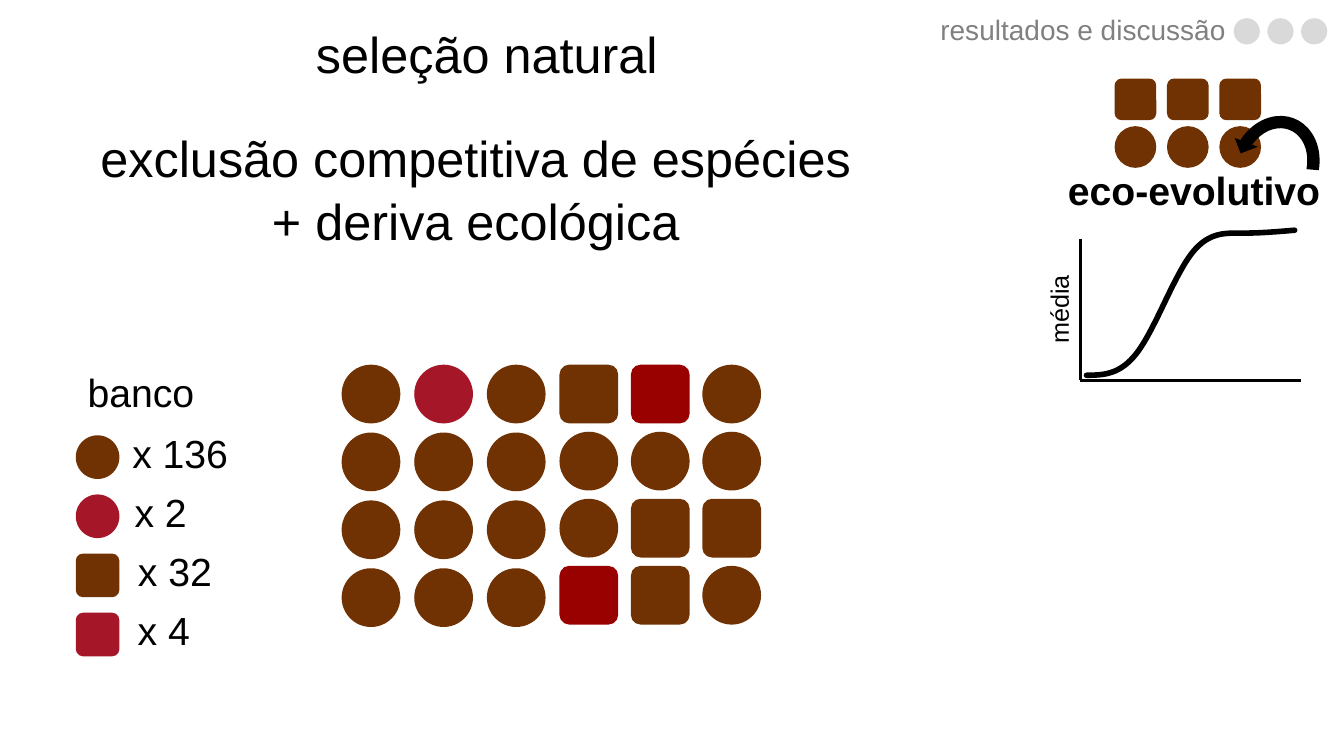
from dataclasses import dataclass

from pptx import Presentation
from pptx.chart.data import CategoryChartData
from pptx.dml.color import RGBColor
from pptx.enum.chart import XL_CHART_TYPE, XL_MARKER_STYLE
from pptx.enum.shapes import MSO_CONNECTOR, MSO_SHAPE
from pptx.enum.text import MSO_ANCHOR, MSO_AUTO_SIZE, PP_ALIGN
from pptx.oxml.ns import qn
from pptx.util import Cm, Pt
from lxml.etree import SubElement


@dataclass(frozen=True)
class Theme:
    """Hold the colours, fonts and type sizes of the slide."""
    ink: str = "000000"
    grey: str = "808080"
    pale: str = "D9D9D9"
    brown: str = "703103"
    red: str = "A51628"
    dark: str = "990000"
    font: str = "Arial"
    chart: str = "Calibri"
    head: int = 36
    label: int = 28
    note: int = 20
    axis: int = 18
    tick: int = 10


THEME = Theme()
ROUND, SQUARE = MSO_SHAPE.OVAL, MSO_SHAPE.ROUNDED_RECTANGLE
KINDS = {
    "b": (ROUND, THEME.brown),
    "r": (ROUND, THEME.red),
    "g": (ROUND, THEME.pale),
    "B": (SQUARE, THEME.brown),
    "R": (SQUARE, THEME.red),
    "D": (SQUARE, THEME.dark),
}


def apply(target, values):
    """Set each named value on the target."""
    for name, value in values.items():
        setattr(target, name, value)


def place(shape, box):
    """Move and size a shape from lengths in centimetres."""
    apply(shape, dict(zip(("left", "top", "width", "height"), map(Cm, box))))


def style(font, size, color=THEME.ink, face=THEME.font, bold=False):
    """Format a font."""
    apply(font, {"size": Pt(size), "name": face, "bold": bold})
    font.color.rgb = RGBColor.from_string(color)


def write(shape, lines, size, color=THEME.ink, bold=False, space=0.9, gap=0,
          align=PP_ALIGN.CENTER, anchor=MSO_ANCHOR.MIDDLE):
    """Fill a text shape with formatted lines."""
    frame = shape.text_frame
    apply(frame, {"text": "\n".join(lines), "word_wrap": True,
                  "auto_size": MSO_AUTO_SIZE.NONE, "vertical_anchor": anchor})
    for rank, para in enumerate(frame.paragraphs):
        apply(para, {"alignment": align, "line_spacing": space,
                     "space_before": Pt(gap if rank else 0)})
        style(para.font, size, color, bold=bold)


def label(shapes, text, box, size=THEME.label, **form):
    """Add a text box with the given lines."""
    shape = shapes.add_textbox(*map(Cm, box))
    write(shape, text.split("\n"), size, **form)
    return shape


def paint(shape, color):
    """Give a shape a flat fill without outline or shadow."""
    shape.shadow.inherit = False
    shape.fill.solid()
    shape.fill.fore_color.rgb = RGBColor.from_string(color)
    shape.line.fill.background()


def grid(shapes, rows, left, top, size, step, drop=0):
    """Draw rows of tokens, one letter for each token."""
    for row, line in enumerate(rows):
        for col, key in enumerate(line):
            kind, color = KINDS[key]
            spot = (left + col * step, top + row * drop, size, size)
            paint(shapes.add_shape(kind, *map(Cm, spot)), color)


def arrow(shapes, box):
    """Draw the curved feedback arrow."""
    shape = shapes.add_shape(MSO_SHAPE.CIRCULAR_ARROW, *map(Cm, box))
    paint(shape, THEME.ink)
    for rank, value in enumerate((0.125, 11.42, 204.58, 117.73, 0.125)):
        shape.adjustments[rank] = value
    shape.rotation = 200.9
    shape.element.spPr.find(qn("a:xfrm")).set("flipV", "1")


def rule(shapes, ends):
    """Draw a straight axis line."""
    line = shapes.add_connector(MSO_CONNECTOR.STRAIGHT, *map(Cm, ends))
    line.line.width = Pt(2)
    line.line.color.rgb = RGBColor.from_string(THEME.ink)
    SubElement(line.element.spPr, qn("a:effectLst"))


def curve(shapes, box):
    """Add the smooth line chart of the mean."""
    data = CategoryChartData()
    data.categories = ["1", "2", "3", "4", "5"]
    data.add_series("Series 1", (0, 17, 83, 98, 100))
    chart = shapes.add_chart(XL_CHART_TYPE.LINE, *map(Cm, box), data).chart
    apply(chart, {"has_legend": False, "has_title": False})
    style(chart.font, THEME.tick, face=THEME.chart)
    for axis in (chart.category_axis, chart.value_axis):
        apply(axis, {"visible": False, "has_major_gridlines": False})
    apply(chart.value_axis, {"minimum_scale": 0, "maximum_scale": 120})
    plot = chart.plots[0]
    plot.vary_by_categories = False
    series = plot.series[0]
    series.smooth = True
    series.marker.style = XL_MARKER_STYLE.NONE
    series.format.line.width = Pt(4)
    series.format.line.color.rgb = RGBColor.from_string(THEME.ink)
    steps = map(qn, ("c:ser", "c:spPr", "a:ln"))
    chart.element.find(".//" + "/".join(steps)).set("cap", "rnd")


def model(shapes):
    """Draw the model panel with its tokens, arrow and chart."""
    label(shapes, "eco-evolutivo", (26.57, 3.02, 7.04, 3.68), bold=True)
    grid(shapes.add_group_shape().shapes, ("BBB", "bbb"),
         28.09, 1.98, 1.05, 1.32, 1.2)
    arrow(shapes, (30.89, 2.74, 2.49, 2.92))
    curve(shapes, (26.59, 4.98, 6.83, 4.57))
    rule(shapes, (27.22, 9.58, 32.78, 9.58))
    rule(shapes, (27.22, 6.02, 27.22, 9.58))
    mean = label(shapes, "média", (24.18, 7.14, 5, 1.32), THEME.axis,
                 space=1, anchor=MSO_ANCHOR.TOP)
    mean.rotation = 270
    apply(mean.text_frame, {"margin_left": Cm(0.41), "margin_right": Cm(0.41),
                            "margin_top": Cm(0.28), "margin_bottom": Cm(0.28)})


def header(shapes):
    """Draw the section name and its progress dots."""
    group = shapes.add_group_shape().shapes
    label(group, "resultados e discussão", (19.76, 0.2, 11.38, 1.19),
          THEME.note, color=THEME.grey, align=PP_ALIGN.RIGHT)
    grid(group, ("ggg",), 31.09, 0.46, 0.66, 0.85)


def legend(shapes):
    """Draw the bank legend with its counts."""
    label(shapes, "banco", (0.03, 8.1, 7.04, 3.68))
    items = (("b", "x 136", 1.02), ("r", "x 2", 0.53),
             ("B", "x 32", 0.89), ("R", "x 4", 0.61))
    for rank, (key, text, left) in enumerate(items):
        top = 10.97 + rank * 1.49
        grid(shapes, (key,), 1.91, top, 1.1, 0)
        label(shapes, text, (left, top - 1.33, 7.04, 3.68))


def main():
    """Build the slide and save it."""
    deck = Presentation()
    apply(deck, {"slide_width": Cm(33.87), "slide_height": Cm(19.05)})
    slide = deck.slides.add_slide(deck.slide_layouts[5])
    shapes = slide.shapes
    place(shapes.title, (6.81, 0.64, 10.92, 1.7))
    write(shapes.title, ["seleção natural"], THEME.head, anchor=MSO_ANCHOR.TOP)
    model(shapes)
    header(shapes)
    legend(shapes)
    grid(shapes, ("brb", "bbb", "bbb", "bbb"), 8.61, 9.19, 1.48, 1.83, 1.71)
    grid(shapes, ("BDb", "bbb", "bBB", "DBb"), 14.1, 9.19, 1.48, 1.8, 1.69)
    label(shapes, "exclusão competitiva de espécies\n+ deriva ecológica",
          (-0.86, 3.38, 25.7, 3.33), THEME.head, space=0.8, gap=10,
          anchor=MSO_ANCHOR.TOP)
    deck.save("out.pptx")


if __name__ == "__main__":
    main()
